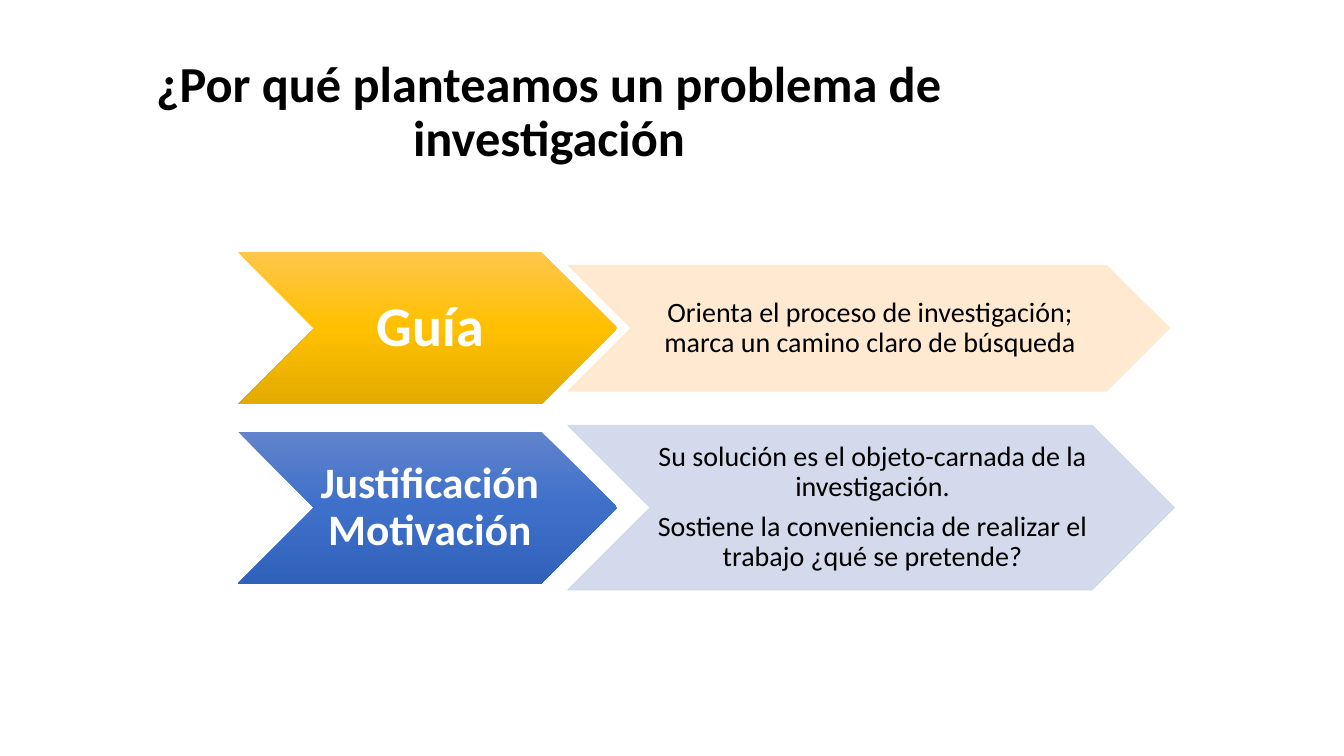
from copy import deepcopy

from lxml import etree
from pptx import Presentation
from pptx.dml import color
from pptx.enum import shapes, text
from pptx.oxml import ns
from pptx.util import Pt

FONT = "Calibri"
FIRST_ROW_CENTER, ROW_PITCH = 234.4, 128.2

# Each row: label chevron, then description chevron
ROWS = [
    {"label": "Guía", "size": 40, "inset": 4,
     "gradient": ["FFC64B", "FFC000", "E3AB00"],
     "tint": "FFE8CC", "width": 430, "height": 90,
     "description": ["Orienta el proceso de investigación; "
                     "marca un camino claro de búsqueda"]},
    {"label": "Justificación Motivación", "size": 31, "inset": 3,
     "gradient": ["6183CB", "3E70CA", "3062BB"],
     "tint": "CFD6EA", "width": 433.5, "height": 117.6,
     "description": ["Su solución es el objeto-carnada de la investigación.",
                     "Sostiene la conveniencia de realizar el trabajo "
                     "¿qué se pretende?"]},
]


def rgb(hex_code):
    return color.RGBColor.from_string(hex_code)


def write_text(shape, lines, size, hex_code, bold=False, inset=None):
    """Fill a shape with centred paragraphs."""
    frame = shape.text_frame
    settings = {"word_wrap": True, "auto_size": text.MSO_AUTO_SIZE.NONE,
                "vertical_anchor": text.MSO_ANCHOR.MIDDLE}
    if inset is not None:
        settings.update(margin_left=Pt(inset), margin_right=0,
                        margin_top=Pt(inset / 2), margin_bottom=Pt(inset / 2))
    for name, value in settings.items():
        setattr(frame, name, value)
    frame.text = "\n".join(lines)
    for index, paragraph in enumerate(frame.paragraphs):
        paragraph.alignment = text.PP_ALIGN.CENTER
        paragraph.line_spacing = 0.9
        paragraph.space_before = Pt(0.35 * size if index else 0)
        for name, value in {"name": FONT, "size": Pt(size), "bold": bold}.items():
            setattr(paragraph.font, name, value)
        paragraph.font.color.rgb = rgb(hex_code)


def add_chevron(slide, left, center, width, height):
    shape = slide.shapes.add_shape(
        shapes.MSO_SHAPE.CHEVRON, Pt(left), Pt(center - height / 2),
        Pt(width), Pt(height))
    shape.shadow.inherit = False
    return shape


def fill_gradient(shape, hex_codes):
    """Spread the colours evenly from top to bottom."""
    shape.fill.gradient()
    shape.fill.gradient_angle = 270
    stop_list = shape.element.spPr.find(".//" + ns.qn("a:gsLst"))
    stop_list.append(deepcopy(stop_list[0]))
    for index, hex_code in enumerate(hex_codes):
        stop = shape.fill.gradient_stops[index]
        stop.position = index / (len(hex_codes) - 1)
        stop.color.rgb = rgb(hex_code)
    shape.line.fill.background()


def fill_tint(shape, hex_code, alpha=90):
    """Give fill and outline the same slightly transparent colour."""
    shape.fill.solid()
    shape.line.width = Pt(0.5)
    for fill in (shape.fill, shape.line.fill):
        fill.solid()
        fill.fore_color.rgb = rgb(hex_code)
    for node in shape.element.spPr.iter(ns.qn("a:srgbClr")):
        etree.SubElement(node, ns.qn("a:alpha")).set("val", str(alpha * 1000))


def add_title(slide, wording):
    title = slide.shapes.title
    box = {"left": 66, "top": 28.8, "width": 652.4, "height": 104.4}
    for name, value in box.items():
        setattr(title, name, Pt(value))
    write_text(title, [wording], 36, "000000", bold=True)


def add_row(slide, center, row):
    label = add_chevron(slide, 170, center, 271, 108.6)
    fill_gradient(label, row["gradient"])
    write_text(label, [row["label"]], row["size"], "FFFFFF", True, row["inset"])

    description = add_chevron(slide, 405.5, center, row["width"], row["height"])
    fill_tint(description, row["tint"])
    write_text(description, row["description"], 20, "000000", inset=2)


def main():
    presentation = Presentation()
    presentation.slide_width, presentation.slide_height = Pt(960), Pt(540)
    slide = presentation.slides.add_slide(presentation.slide_layouts[5])

    add_title(slide, "¿Por qué planteamos un problema de investigación")
    for index, row in enumerate(ROWS):
        add_row(slide, FIRST_ROW_CENTER + index * ROW_PITCH, row)

    presentation.save("out.pptx")


if __name__ == "__main__":
    main()
